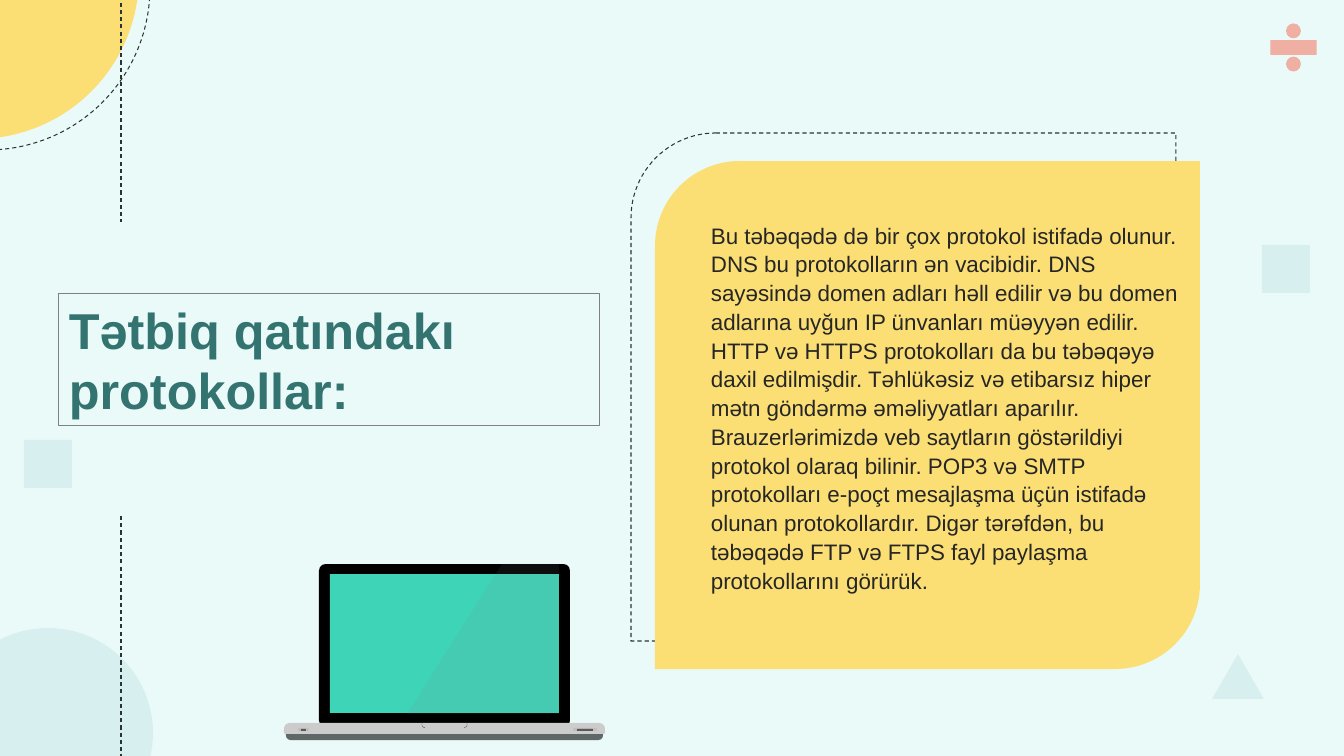
from lxml.etree import SubElement
from pptx import Presentation
from pptx.dml.color import RGBColor
from pptx.enum.dml import MSO_LINE_DASH_STYLE as Dash
from pptx.enum.shapes import MSO_CONNECTOR_TYPE as Connector, MSO_SHAPE as Shape
from pptx.enum.text import MSO_ANCHOR as Anchor, MSO_AUTO_SIZE as AutoSize, PP_ALIGN as Align
from pptx.oxml.ns import qn
from pptx.util import Pt

WIDTH, HEIGHT = 1344, 756
PX = 12192000 / WIDTH

MINT = RGBColor(0xEA, 0xFA, 0xF9)
YELLOW = RGBColor(0xFB, 0xDF, 0x74)
SLATE = RGBColor(0x27, 0x35, 0x33)
TEAL = RGBColor(0x83, 0xC8, 0xC5)
CORAL = RGBColor(0xF1, 0x94, 0x82)
TITLE_GREEN = RGBColor(0x33, 0x73, 0x70)
INK = RGBColor(0x26, 0x26, 0x26)
GREY = RGBColor(0x80, 0x80, 0x80)
BLACK = RGBColor(0x00, 0x00, 0x00)
SCREEN = RGBColor(0x3E, 0xD4, 0xB7)
BASE = RGBColor(0xCC, 0xCC, 0xCC)
BASE_SHADE = RGBColor(0x5F, 0x67, 0x67)
SLOT_RIM = RGBColor(0xBF, 0xBF, 0xBF)
SLOT = RGBColor(0x59, 0x59, 0x59)
NOTCH = RGBColor(0x4D, 0x4D, 0x4D)

TITLE = "Tətbiq qatındakı protokollar:"
BODY = (
    "Bu təbəqədə də bir çox protokol istifadə olunur. DNS bu protokolların ən vacibidir. "
    "DNS sayəsində domen adları həll edilir və bu domen adlarına uyğun IP ünvanları müəyyən "
    "edilir. HTTP və HTTPS protokolları da bu təbəqəyə daxil edilmişdir. Təhlükəsiz və "
    "etibarsız hiper mətn göndərmə əməliyyatları aparılır. Brauzerlərimizdə veb saytların "
    "göstərildiyi protokol olaraq bilinir. POP3 və SMTP protokolları e-poçt mesajlaşma üçün "
    "istifadə olunan protokollardır. Digər tərəfdən, bu təbəqədə FTP və FTPS fayl paylaşma "
    "protokollarını görürük."
)


def emu(*lengths):
    """Turn pixel lengths into EMU."""
    return [round(length * PX) for length in lengths]


def paint(shape, fill=None, alpha=100, line=None, dash=None, weight=0.75):
    """Set the fill, its opacity in percent, and the outline of a shape."""
    shape.shadow.inherit = False
    if fill is None:
        shape.fill.background()
    else:
        shape.fill.solid()
        shape.fill.fore_color.rgb = fill
        if alpha < 100:
            color = shape.fill._xPr.find(".//" + qn("a:srgbClr"))
            SubElement(color, qn("a:alpha"), val=str(alpha * 1000))
    if line is None:
        shape.line.fill.background()
    else:
        style_line(shape.line, line, dash, weight)
    return shape


def style_line(line, color, dash=None, weight=0.75):
    """Set the colour, width and dash of a line."""
    line.color.rgb = color
    for name, value in {"width": Pt(weight), "dash_style": dash}.items():
        setattr(line, name, value)


def add_preset(page, kind, box, adjust=(), **look):
    """Add a painted preset shape with its adjustments."""
    shape = page.shapes.add_shape(kind, *emu(*box))
    for index, value in enumerate(adjust):
        shape.adjustments[index] = value
    return paint(shape, **look)


def add_outline(page, points, close, **look):
    """Add a painted freeform through the given points."""
    builder = page.shapes.build_freeform(*points[0], scale=PX)
    builder.add_line_segments(points[1:], close=close)
    return paint(builder.convert_to_shape(), **look)


def write_text(shape, text, paragraph_format, font_format, color):
    """Write one paragraph into a shape that grows with its text."""
    frame = shape.text_frame
    frame_format = {
        "word_wrap": True,
        "auto_size": AutoSize.SHAPE_TO_FIT_TEXT,
        "vertical_anchor": Anchor.TOP,
    }
    para = frame.paragraphs[0]
    span = para.add_run()
    span.text = text
    span.font.color.rgb = color
    for target, values in (
        (frame, frame_format),
        (para, {"alignment": Align.LEFT, **paragraph_format}),
        (span.font, {"name": "Arial", **font_format}),
    ):
        for name, value in values.items():
            setattr(target, name, value)


def add_panel(page, box):
    """Place the yellow panel, its dashed echo and the body text."""
    left, top, width, height = box
    echo = (left - 24, top - 28, width, height)
    corners = (0.167, 0)
    add_preset(page, Shape.ROUND_2_DIAG_RECTANGLE, echo, corners, line=SLATE, dash=Dash.DASH)
    add_preset(page, Shape.ROUND_2_DIAG_RECTANGLE, box, corners, fill=YELLOW)
    body = page.shapes.add_textbox(*emu(left + 46, top + 54, 488, 388))
    spacing = {"line_spacing": 1.07, "space_after": Pt(8)}
    write_text(body, BODY, spacing, {"size": Pt(16)}, INK)


def add_decor(page, box):
    """Place the circles, pale shapes, sign and dashed lines around the page."""
    left, top, width, height = box
    for offset, look in ((-175, {"line": SLATE, "dash": Dash.DASH}), (-186, {"fill": YELLOW})):
        add_preset(page, Shape.OVAL, (left + offset, top + offset, 325, 325), **look)
    for kind, x, y, w, h in (
        (Shape.OVAL, -57, 628, 210, 210),
        (Shape.ISOSCELES_TRIANGLE, 1212, 654, 52, 45),
        (Shape.RECTANGLE, 1262, 245, 48, 48),
        (Shape.RECTANGLE, 24, 440, 48, 48),
    ):
        add_preset(page, kind, (left + x, top + y, w, h), fill=TEAL, alpha=18)
    sign = (left + width - 82, top + 16, 63, 63)
    add_preset(page, Shape.MATH_DIVIDE, sign, (0.235, 0.059, 0.118), fill=CORAL, alpha=73)
    x = left + 121
    for start, end in ((top - 19, top + 222), (top + 516, top + height + 57)):
        rule = page.shapes.add_connector(Connector.STRAIGHT, *emu(x, start, x, end))
        style_line(rule.line, SLATE, Dash.DASH)
        SubElement(rule._element.spPr, qn("a:effectLst"))


def add_laptop(page, box):
    """Place the laptop with its lid, screen, base, slots and glare."""
    left, top, width, height = box
    base = top + height - 17
    round_bar = Shape.ROUND_2_SAME_RECTANGLE
    for kind, part, adjust, fill in (
        (round_bar, (left + 2, base + 8, width - 4, 9), (0, 0.5), BASE_SHADE),
        (Shape.ROUNDED_RECTANGLE, (left + 35, top, 251, 163), (0.04,), BLACK),
        (Shape.RECTANGLE, (left + 46, top + 10, 229, 139), (), SCREEN),
        (round_bar, (left, base, width, 11), (0.5, 0.15), BASE),
    ):
        add_preset(page, kind, part, adjust, fill=fill)
    for x, inward in ((left + 138, 1), (left + 183, -1)):
        corner = [(x, base), (x, base + 3), (x + inward, base + 4), (x + 3 * inward, base + 5)]
        add_outline(page, corner, False, line=NOTCH, weight=0.25)
    for x, rim, inset in ((left + 14, 11, 3), (left + 289, 24, 4)):
        for slot, fill in (
            ((x, base + 5, rim, 3), SLOT_RIM),
            ((x + inset, base + 6, rim - 2 * inset, 2), SLOT),
        ):
            add_preset(page, Shape.ROUNDED_RECTANGLE, slot, (0.28,), fill=fill)
    right, foot = left + 275, top + 150
    glare = [(left + 218, top), (right, top), (right, foot), (left + 123, foot)]
    add_outline(page, glare, True, fill=GREY, alpha=10)


def add_title(page, box):
    """Place the outlined title."""
    title = add_preset(page, Shape.RECTANGLE, box, line=GREY)
    write_text(title, TITLE, {}, {"size": Pt(36), "bold": True}, TITLE_GREEN)


def main():
    """Build the deck and save it."""
    deck = Presentation()
    deck.slide_width, deck.slide_height = emu(WIDTH, HEIGHT)
    page = deck.slides.add_slide(deck.slide_layouts[6])
    page.background.fill.solid()
    page.background.fill.fore_color.rgb = MINT
    add_panel(page, (655, 161, 545, 508))
    add_decor(page, (0, 0, WIDTH, HEIGHT))
    add_laptop(page, (284, 564, 321, 176))
    add_title(page, (59, 294, 541, 132))
    deck.save("out.pptx")


if __name__ == "__main__":
    main()
